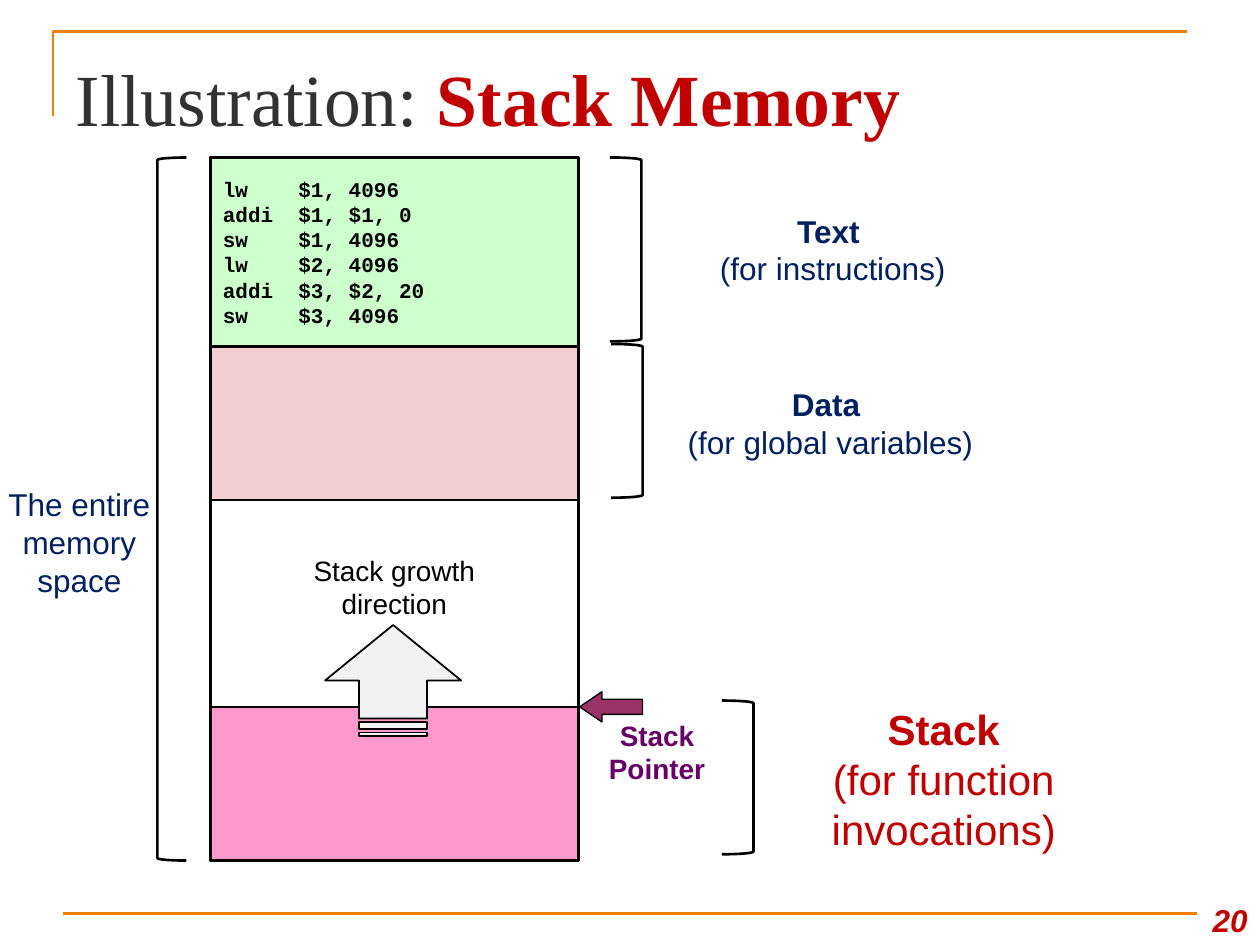
"""Build the stack memory illustration slide."""
from dataclasses import dataclass
from typing import Optional

from lxml import etree
from pptx import Presentation
from pptx import util as u
from pptx.dml.color import RGBColor
from pptx.enum import shapes, text
from pptx.oxml.ns import qn

KIND = shapes.MSO_SHAPE
ANCHOR = text.MSO_ANCHOR
ALIGN = text.PP_ALIGN
ORANGE, NAVY, RED, BLACK, WHITE = "F07F09", "002060", "C00000", "000000", "FFFFFF"
MEMORY_LEFT, MEMORY_TOP, MEMORY_WIDTH, MEMORY_HEIGHT = 1.67, 1.25, 2.92, 5.58
STACK_HEIGHT = 1.22
STACK_TOP = MEMORY_TOP + MEMORY_HEIGHT - STACK_HEIGHT


@dataclass
class Box:
    left: float
    top: float
    width: float
    height: float


@dataclass
class Figure:
    box: Box
    kind: KIND = KIND.RECTANGLE
    fill: Optional[str] = None
    line: str = BLACK
    weight: float = 1.5
    rotation: float = 0
    flipped: bool = False
    adjustments: tuple = ()


@dataclass
class Label:
    box: Box
    lines: tuple
    size: float = 18
    color: str = NAVY
    face: str = "Arial"
    bold_lines: int = 0
    italic: bool = False
    align: ALIGN = ALIGN.CENTER
    anchor: ANCHOR = ANCHOR.MIDDLE


def color_of(value: str) -> RGBColor:
    """Turn a hex string into a colour."""
    return RGBColor.from_string(value)


def place(box: Box) -> tuple:
    """Give the box as four lengths."""
    return tuple(u.Inches(n) for n in (box.left, box.top, box.width, box.height))


def style_font(font, color: str, **formats) -> None:
    """Set the font colour and every given format value."""
    for name, value in formats.items():
        setattr(font, name, value)
    font.color.rgb = color_of(color)


def style_line(line, color: str, weight: float) -> None:
    """Set line colour and width."""
    line.color.rgb = color_of(color)
    line.width = u.Pt(weight)


def draw_figure(slide, figure: Figure) -> None:
    """Draw one preset shape."""
    shape = slide.shapes.add_shape(figure.kind, *place(figure.box))
    shape.shadow.inherit = False
    if figure.fill:
        shape.fill.solid()
        shape.fill.fore_color.rgb = color_of(figure.fill)
    else:
        shape.fill.background()
    style_line(shape.line, figure.line, figure.weight)
    shape.rotation = figure.rotation
    for index, value in enumerate(figure.adjustments):
        shape.adjustments[index] = value
    if figure.flipped:
        shape.element.spPr.find(qn("a:xfrm")).set("flipH", "1")


def draw_label(slide, label: Label) -> None:
    """Write one block of text."""
    frame = slide.shapes.add_textbox(*place(label.box)).text_frame
    frame.word_wrap = True
    frame.vertical_anchor = label.anchor
    frame.text = "\n".join(label.lines)
    for index, paragraph in enumerate(frame.paragraphs):
        paragraph.alignment = label.align
        for run in paragraph.runs:
            style_font(run.font, label.color, name=label.face, size=u.Pt(label.size),
                       bold=index < label.bold_lines, italic=label.italic)


def draw_frame(slide) -> None:
    """Draw the orange corner and the footer rule."""
    builder = slide.shapes.build_freeform(u.Inches(0.42), u.Inches(0.92))
    builder.add_line_segments([(u.Inches(0.42), u.Inches(0.25)),
                               (u.Inches(9.42), u.Inches(0.25))], close=False)
    corner = builder.convert_to_shape()
    corner.shadow.inherit = False
    corner.fill.background()
    rule = slide.shapes.add_connector(shapes.MSO_CONNECTOR.STRAIGHT, u.Inches(0.5),
                                      u.Inches(7.25), u.Inches(9.5), u.Inches(7.25))
    etree.SubElement(rule.element.spPr, qn("a:effectLst"))
    for part in (corner, rule):
        style_line(part.line, ORANGE, 1.5)


def write_title(slide) -> None:
    """Fill and format the title placeholder."""
    title = slide.shapes.title
    title.left, title.top, title.width, title.height = place(Box(0.5, 0.3, 9, 0.78))
    frame = title.text_frame
    formats = {"auto_size": text.MSO_AUTO_SIZE.NONE, "vertical_anchor": ANCHOR.TOP,
               "margin_top": u.Inches(0.12), "margin_bottom": 0}
    for name, value in formats.items():
        setattr(frame, name, value)
    paragraph = frame.paragraphs[0]
    paragraph.alignment = ALIGN.LEFT
    for words, color, bold in (("Illustration: ", "323232", False),
                               ("Stack Memory", RED, True)):
        run = paragraph.add_run()
        run.text = words
        style_font(run.font, color, name="Times New Roman", size=u.Pt(42), bold=bold)


def segment(top: float, height: float, fill: Optional[str] = None) -> Figure:
    """Describe one block of the memory column."""
    return Figure(Box(MEMORY_LEFT, top, MEMORY_WIDTH, height), fill=fill)


def bracket(left: float, top: float, height: float, width: float = 0.25,
            flipped: bool = False) -> Figure:
    """Describe one bracket beside the memory column."""
    return Figure(Box(left, top, width, height), KIND.RIGHT_BRACKET, flipped=flipped)


FIGURES = [
    bracket(1.25, MEMORY_TOP, MEMORY_HEIGHT, 0.23, True),
    segment(MEMORY_TOP, 1.5, "CCFFCC"),
    segment(MEMORY_TOP, MEMORY_HEIGHT),
    segment(2.75, STACK_HEIGHT, "F2CED2"),
    segment(STACK_TOP, STACK_HEIGHT, "FF99CC"),
    bracket(4.85, 2.73, STACK_HEIGHT),
    bracket(4.84, MEMORY_TOP, 1.46),
    bracket(5.73, 5.56, STACK_HEIGHT),
    Figure(Box(4.6, 5.49, 0.5, 0.24), KIND.LEFT_ARROW, "993366", weight=0.75,
           adjustments=(0.5, 0.74)),
    Figure(Box(2.68, 4.86, 0.88, 1.08), KIND.STRIPED_RIGHT_ARROW, "F2F2F2", weight=1,
           rotation=270),
]
CODE = ("lw    $1, 4096", "addi  $1, $1, 0", "sw    $1, 4096",
        "lw    $2, 4096", "addi  $3, $2, 20", "sw    $3, 4096")
LABELS = [
    Label(Box(-0.08, 3.77, 1.42, 1.06), ("The entire", "memory space")),
    Label(Box(5.09, 2.83, 3, 1.06), ("Data ", "(for global variables)"), bold_lines=1),
    Label(Box(5.11, 1.45, 3, 1.06), ("Text ", "(for instructions)"), bold_lines=1),
    Label(Box(MEMORY_LEFT, MEMORY_TOP, MEMORY_WIDTH, 1.5), CODE, 12, BLACK,
          "Courier New", len(CODE), align=ALIGN.LEFT),
    Label(Box(5.98, 5.65, 3.02, 1.06), ("Stack", "(for function invocations)"), 24, RED,
          bold_lines=1),
    Label(Box(4.5, 5.65, 1.43, 0.64), ("Stack Pointer",), 16, "660066", bold_lines=1,
          anchor=ANCHOR.TOP),
    Label(Box(2.33, 4.34, 1.6, 0.72), ("Stack growth direction",), 16, BLACK,
          anchor=ANCHOR.TOP),
    Label(Box(9.42, 7, 0.58, 0.5), ("20",), 18, RED, bold_lines=1, italic=True,
          align=ALIGN.RIGHT, anchor=ANCHOR.BOTTOM),
]


def main() -> None:
    """Build and save the slide."""
    deck = Presentation()
    deck.slide_width, deck.slide_height = u.Inches(10), u.Inches(7.5)
    slide = deck.slides.add_slide(deck.slide_layouts[5])
    slide.background.fill.solid()
    slide.background.fill.fore_color.rgb = color_of(WHITE)
    draw_frame(slide)
    write_title(slide)
    for figure in FIGURES:
        draw_figure(slide, figure)
    for label in LABELS:
        draw_label(slide, label)
    deck.save("out.pptx")


if __name__ == "__main__":
    main()
